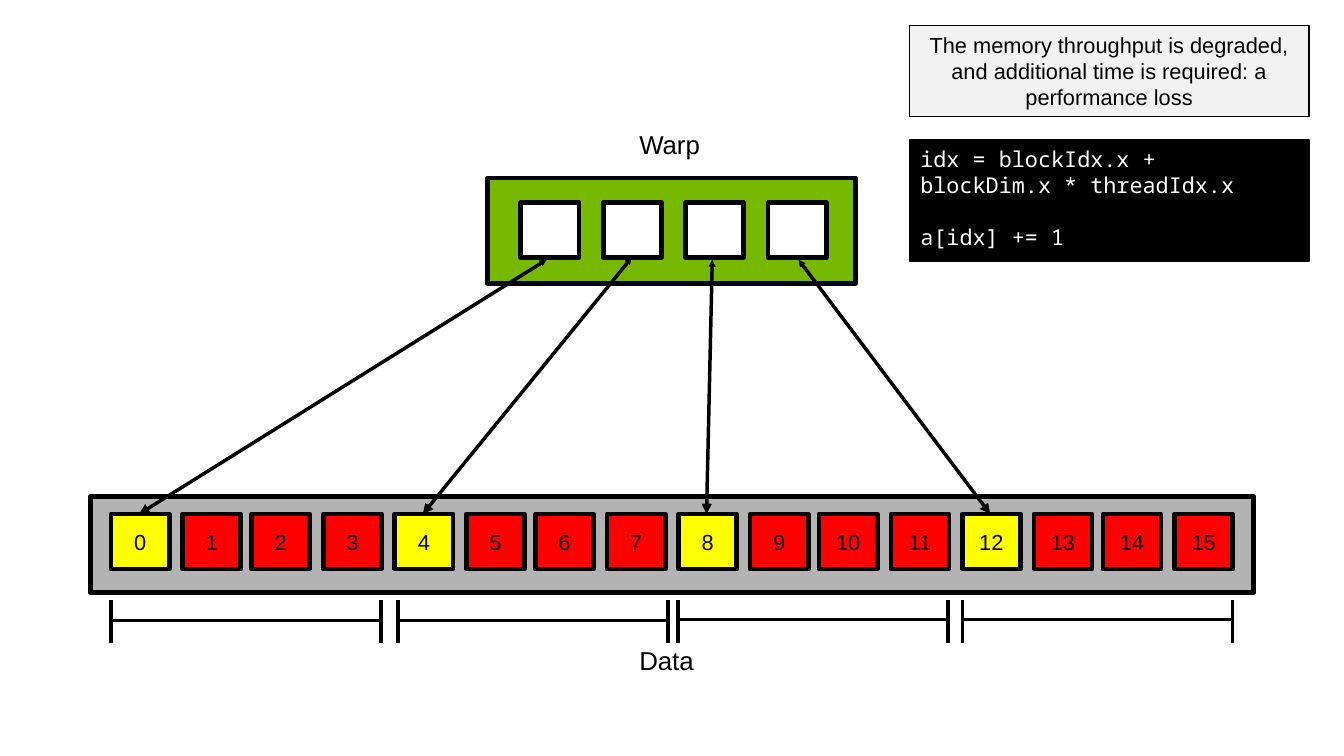
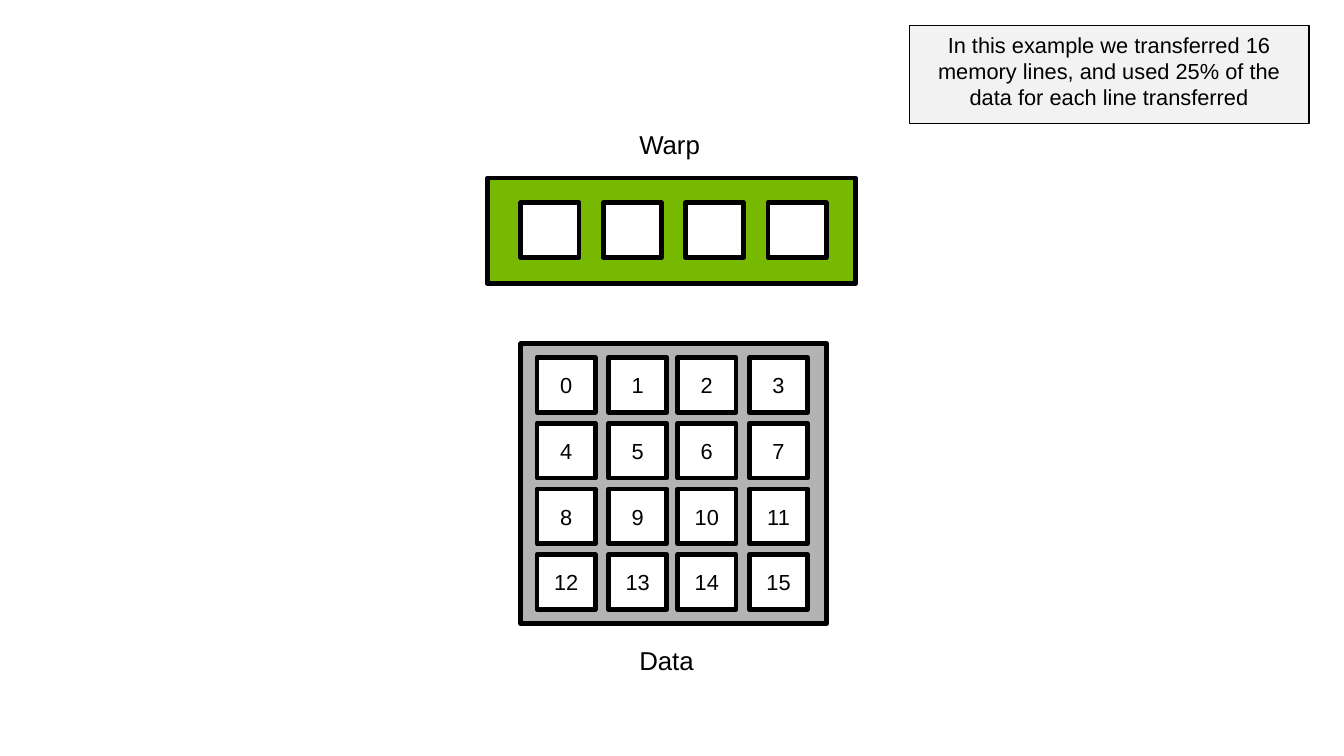
"""Build two slides on how a warp reads strided and grouped data."""
from lxml import etree
from pptx import Presentation
from pptx.dml.color import RGBColor
from pptx.enum.shapes import MSO_CONNECTOR, MSO_SHAPE
from pptx.enum.text import MSO_ANCHOR, MSO_AUTO_SIZE, PP_ALIGN
from pptx.oxml.ns import qn
from pptx.util import Pt

RECT, LINE = MSO_SHAPE.RECTANGLE, MSO_CONNECTOR.STRAIGHT
TOP, MIDDLE = MSO_ANCHOR.TOP, MSO_ANCHOR.MIDDLE
LEFT, CENTER = PP_ALIGN.LEFT, PP_ALIGN.CENTER
GROW = MSO_AUTO_SIZE.SHAPE_TO_FIT_TEXT

BLACK, WHITE, PALE, GREY = "000000", "FFFFFF", "F2F2F2", "B3B3B3"
GREEN, RED, YELLOW = "76B900", "FF0000", "FFFF00"
SANS, MONO = "Arial", "Noto Sans Mono"

LOSS = ("The memory throughput is degraded, and additional time is required: "
        "a performance loss")
USAGE = ("In this example we transferred 16 memory lines, and used 25% of the "
         "data for each line transferred")
CODE = ["idx = blockIdx.x + blockDim.x * threadIdx.x", "a[idx] += 1"]
LABELS = [("Warp", 79.2), ("Data", 411.1)]

CELL_W, CELL_H = 37.4, 35.3
COLS = [0, 46, 90.4, 136.5]
QUAD = 182.4
ROW_X, ROW_Y = 71.4, 330.5
HEADS = [(351.4, 167), (406.1, 165.6), (457.9, 167), (513.4, 167)]
SPANS = [(71.4, 398.9), (255.8, 398.9), (435.8, 398.3), (618.7, 398.3)]
SPAN_W, TICK_TOP, TICK_END = 173.5, 386, 413.3


def color(code):
    return RGBColor.from_string(code)


def box(shapes, x, y, w, h, fill, line=3):
    shape = shapes.add_shape(RECT, Pt(x), Pt(y), Pt(w), Pt(h))
    shape.shadow.inherit = False
    shape.fill.solid()
    shape.fill.fore_color.rgb = color(fill)
    shape.line.color.rgb = color(BLACK)
    shape.line.width = Pt(line)
    return shape


def write(shape, lines, size=14, font=SANS, ink=BLACK, align=LEFT,
          anchor=TOP, gap=0):
    frame = shape.text_frame
    frame.word_wrap = True
    frame.vertical_anchor = anchor
    frame.text = "\n".join(lines)
    for i, para in enumerate(frame.paragraphs):
        para.alignment = align
        para.font.size = Pt(size)
        para.font.name = font
        para.font.color.rgb = color(ink)
        if i:
            para.space_before = Pt(gap)


def label(shapes, text, x, y, w, h, **style):
    shape = shapes.add_textbox(Pt(x), Pt(y), Pt(w), Pt(h))
    write(shape, [text], **style)
    shape.text_frame.auto_size = GROW


def stroke(shapes, x1, y1, x2, y2, arrows=False):
    line = shapes.add_connector(LINE, Pt(x1), Pt(y1), Pt(x2), Pt(y2))
    line.line.color.rgb = color(BLACK)
    line.line.width = Pt(2.25)
    props = line._element.spPr
    if arrows:
        for tag, size in (("a:headEnd", "sm"), ("a:tailEnd", "med")):
            etree.SubElement(props.find(qn("a:ln")), qn(tag),
                             type="triangle", w=size, len=size)
    etree.SubElement(props, qn("a:effectLst"))


def cells(shapes, x, y, across, down, first, rest):
    for n in range(16):
        quad, col = divmod(n, 4)
        left = x + quad * across + COLS[col]
        top = y + quad * down
        box(shapes, left, top, CELL_W, CELL_H, rest if col else first)
        wide = 22.5 if n < 10 else 32
        label(shapes, str(n), left + (CELL_W - wide) / 2, top + 5.6,
              wide, 24.2, align=CENTER, anchor=MIDDLE)


def start(deck, note, high):
    shapes = deck.slides.add_slide(deck.slide_layouts[6]).shapes
    write(box(shapes, 584.6, 16.6, 257, high, PALE, 0.75), [note],
          align=CENTER)
    warp = shapes.add_group_shape().shapes
    box(warp, 313.2, 114.5, 237, 67.7, GREEN)
    for i in range(4):
        box(warp, 334.8 + 53 * i, 130.3, CELL_W, CELL_H, WHITE)
    for text, top in LABELS:
        label(shapes, text, 403.9, top, 56.9, 27.4, size=16.6)
    return shapes


def strided(deck):
    shapes = start(deck, LOSS, 58.3)
    data = shapes.add_group_shape().shapes
    box(data, 58.3, 319, 747.4, 62, GREY)
    cells(data, ROW_X, ROW_Y, QUAD, 0, YELLOW, RED)
    write(box(shapes, 584.6, 90, 257, 77.8, BLACK, 0.75), CODE,
          font=MONO, ink=WHITE, gap=16.5)
    for i, (x, y) in enumerate(HEADS):
        stroke(shapes, x, y, ROW_X + i * QUAD + 18, ROW_Y, arrows=True)
    for x, y in SPANS:
        span = shapes.add_group_shape().shapes
        stroke(span, x, y, x + SPAN_W, y)
        for end in (x, x + SPAN_W):
            stroke(span, end, TICK_TOP, end, TICK_END)


def grouped(deck):
    shapes = start(deck, USAGE, 62.6)
    data = shapes.add_group_shape().shapes
    box(data, 334.8, 221, 196.6, 180, GREY)
    cells(data, 345.3, 229.8, 0, 42.25, WHITE, WHITE)


def main():
    deck = Presentation()
    deck.slide_width, deck.slide_height = Pt(864), Pt(486)
    strided(deck)
    grouped(deck)
    deck.save("out.pptx")


if __name__ == "__main__":
    main()
